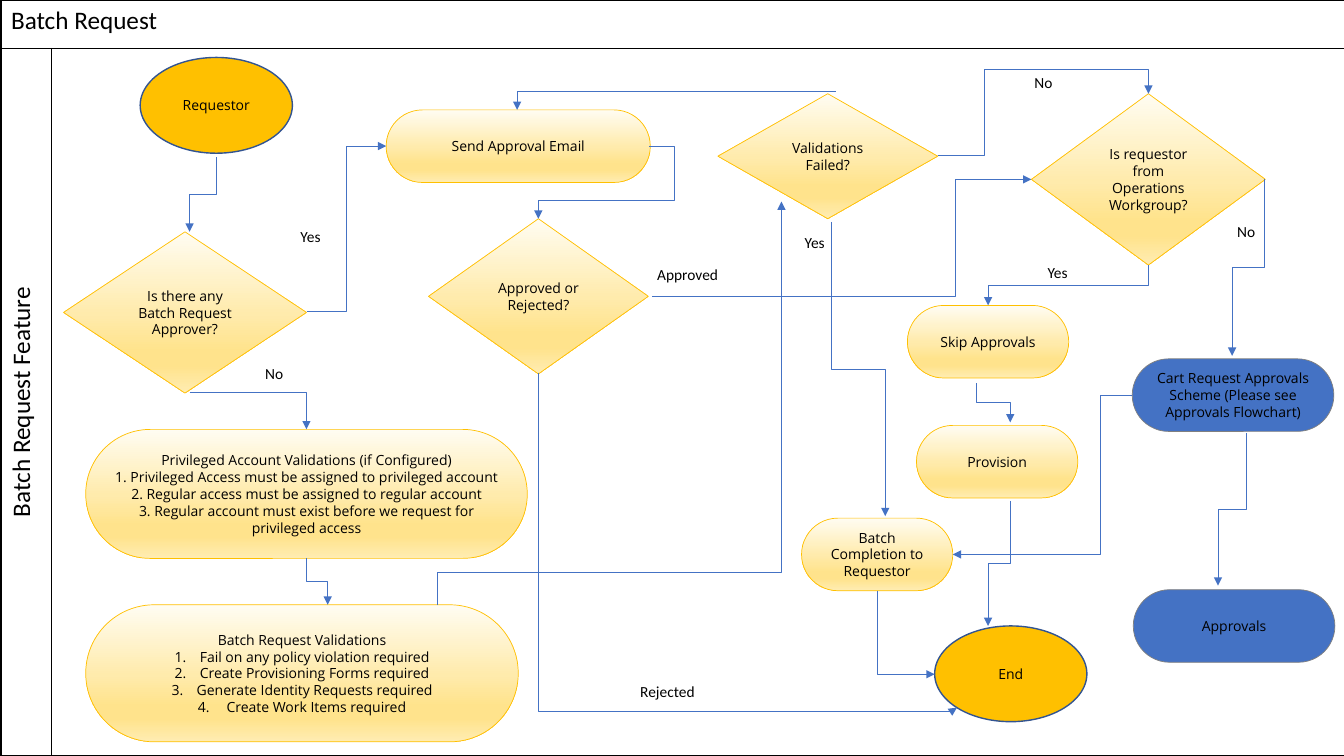
import pptx
import pptx.util
import pptx.dml.color
import pptx.enum.shapes
import pptx.enum.text
import pptx.oxml.ns
import lxml.etree

SHAPE = pptx.enum.shapes.MSO_SHAPE
CENTER = pptx.enum.text.PP_ALIGN.CENTER
MIDDLE = pptx.enum.text.MSO_ANCHOR.MIDDLE
qn = pptx.oxml.ns.qn

COLORS = {"black": "000000", "gold": "FFC000", "navy": "325491",
          "blue": "4472C4", "gray": "808080"}
GRADIENT = [(0, "FFFCF2"), (51, "FFEBAC"), (74, "FFE38C"), (83, "FFE38C"), (100, "FFECB2")]
COLS, ROWS = 13.33, 7.5        # one grid cell is a square inch
SIDE, HEAD = 0.5, 0.48         # lane column and title row
STEP_H = 0.72
HALF = (0.5,)                  # elbow that turns halfway

# kind: preset, fill (None is the gradient), line colour, line width
KINDS = {
    "terminal": (SHAPE.OVAL, "gold", "navy", 1),
    "decision": (SHAPE.DIAMOND, None, "gold", 0.5),
    "step": (SHAPE.ROUNDED_RECTANGLE, None, "gold", 0.5),
    "subflow": (SHAPE.ROUNDED_RECTANGLE, "blue", "gray", 0.5),
}

# kind, column, row, width, height, paragraphs
NODES = [
    ("terminal", 1.39, 0.57, 1.51, 0.95, ["Requestor"]),
    ("decision", 0.63, 2.3, 2.41, 1.6, ["Is there any Batch Request Approver?"]),
    ("step", 3.83, 1.09, 2.62, STEP_H, ["Send Approval Email"]),
    ("decision", 10.23, 0.93, 2.32, 1.7, ["Is requestor from Operations Workgroup?"]),
    ("step", 0.85, 4.26, 4.38, 1.28, [
        "Privileged Account Validations (if Configured)",
        "1. Privileged Access must be assigned to privileged account",
        "2. Regular access must be assigned to regular account",
        "3. Regular account must exist before we request for privileged access"]),
    ("step", 9, 3.03, 1.6, STEP_H, ["Skip Approvals"]),
    ("subflow", 11.23, 3.56, 2, STEP_H,
     ["Cart Request Approvals Scheme (Please see Approvals Flowchart)"]),
    ("terminal", 9.27, 6.21, 1.51, 0.95, ["End"]),
    ("step", 7.95, 5.14, 1.5, STEP_H, ["Batch Completion to Requestor"]),
    ("decision", 7.12, 0.93, 2.18, 1.24, ["Validations Failed?"]),
    ("step", 9.09, 4.22, 1.6, STEP_H, ["Provision"]),
    ("decision", 4.25, 2.17, 2.18, 1.54, ["Approved or Rejected?"]),
    ("subflow", 11.24, 5.85, 2, STEP_H, ["Approvals"]),
]
VALIDATIONS = ("step", 0.85, 6, 4.29, 1.36, [
    "Batch Request Validations", "Fail on any policy violation required",
    "Create Provisioning Forms required", "Generate Identity Requests required",
    " Create Work Items required"])

# start, end, whether it leaves vertically, share of the way at each turn
ARROWS = [
    ((2.15, 1.56), (1.88, 2.3), True, HALF),
    ((3.04, 3.09), (3.83, 1.45), False, HALF),
    ((8.25, 2.2), (8.78, 5.12), True, HALF),
    ((9.3, 1.54), (11.39, 0.93), False, (0.22, 1.4)),
    ((11.39, 2.63), (9.8, 3.03), True, HALF),
    ((12.54, 1.78), (12.22, 3.53), True, HALF),
    ((8.7, 5.86), (9.27, 6.69), True, ()),
    ((11.23, 3.92), (9.45, 5.5), False, (0.18,)),
    ((9.68, 3.8), (10.02, 4.19), True, HALF),
    ((10.02, 4.97), (9.8, 6.21), True, HALF),
    ((1.88, 3.89), (3.04, 4.26), False, ()),
    ((3.04, 5.54), (3.25, 6), True, HALF),
    ((6.44, 1.45), (5.34, 2.17), False, (-0.23, 0.75)),
    ((5.34, 3.7), (9.49, 7.02), True, (1.01,)),
    ((4.34, 6), (7.75, 2), True, (0.08,)),
    ((8.29, 0.91), (5.13, 1.09), False, ()),
    ((6.47, 2.94), (10.23, 1.78), False, (0.8,)),
    ((12.36, 4.3), (12.08, 5.81), True, HALF),
]
LABELS = [
    ("Yes", 7.57, 2.26), ("Yes", 2.57, 2.2), ("Yes", 9.98, 2.56),
    ("No", 11.85, 2.16), ("No", 2.21, 3.56), ("No", 9.84, 0.68),
    ("Rejected", 6.11, 6.72), ("Approved", 6.31, 2.58),
]


def grid(*cells):
    """Turn grid cells into lengths."""
    return [pptx.util.Inches(c) for c in cells]


def rgb(name):
    """Look up a colour."""
    return pptx.dml.color.RGBColor.from_string(COLORS[name])


def add_xml(parent, tag, **attrs):
    """Append a DrawingML element."""
    return lxml.etree.SubElement(parent, qn("a:" + tag), attrs)


def format_text(tf, size, font, align=None):
    """Format every paragraph of a text frame."""
    for p in tf.paragraphs:
        p.alignment = align
        for r in p.runs:
            r.font.size, r.font.name = pptx.util.Pt(size), font
            r.font.color.rgb = rgb("black")


def fill_gradient(sp):
    """Give a shape the pale gold gradient, top to bottom."""
    sp.fill.gradient()
    sp.fill.gradient_angle = 270
    stops = sp._element.spPr.find(".//" + qn("a:gsLst"))
    for old in list(stops):
        stops.remove(old)
    for share, color in GRADIENT:
        add_xml(add_xml(stops, "gs", pos=str(share * 1000)), "srgbClr", val=color)


def add_node(s, kind, x, y, w, h, lines):
    """Add a flowchart node and return it."""
    preset, fill, line, width = KINDS[kind]
    sp = s.shapes.add_shape(preset, *grid(x, y, w, h))
    sp.shadow.inherit = False
    if preset == SHAPE.ROUNDED_RECTANGLE:
        sp.adjustments[0] = 0.5
    if fill:
        sp.fill.solid()
        sp.fill.fore_color.rgb = rgb(fill)
    else:
        fill_gradient(sp)
    sp.line.color.rgb, sp.line.width = rgb(line), pptx.util.Pt(width)
    tf = sp.text_frame
    tf.text, tf.word_wrap, tf.vertical_anchor = "\n".join(lines), True, MIDDLE
    format_text(tf, 10, "Open Sans", CENTER)
    return sp


def number_items(sp):
    """Number the paragraphs below the heading of a node."""
    indent = pptx.util.Inches(0.25)
    for p in sp.text_frame.paragraphs[1:]:
        pPr = p._p.get_or_add_pPr()
        pPr.set("marL", str(indent))
        pPr.set("indent", str(-indent))
        add_xml(pPr, "buAutoNum", type="arabicPeriod")


def add_arrow(s, start, end, vertical, turns):
    """Add an elbow arrow; one that leaves vertically is a turned box."""
    (x1, y1), (x2, y2) = start, end
    u, v, angle = x2 - x1, y2 - y1, 0
    if vertical:
        u, v, angle = (-v, u, 270) if u > 0 and v > 0 else (v, -u, 90)
    mx, my = (x1 + x2) / 2, (y1 + y2) / 2
    cxn = s.shapes.add_connector(
        pptx.enum.shapes.MSO_CONNECTOR.ELBOW,
        *grid(mx - u / 2, my - v / 2, mx + u / 2, my + v / 2))
    cxn.line.color.rgb, cxn.line.width = rgb("blue"), pptx.util.Pt(0.5)
    add_xml(cxn.line._get_or_add_ln(), "tailEnd", type="triangle")
    spPr = cxn._element.spPr
    add_xml(spPr, "effectLst")
    if angle:
        spPr.find(qn("a:xfrm")).set("rot", str(angle * 60000))
    geom = spPr.find(qn("a:prstGeom"))
    geom.set("prst", f"bentConnector{len(turns) + 2}")
    for i, share in enumerate(turns, 1):
        add_xml(geom.find(qn("a:avLst")), "gd", name=f"adj{i}",
                fmla=f"val {round(share * 100000)}")


def add_label(s, text, x, y):
    """Add the caption of a branch."""
    tf = s.shapes.add_textbox(*grid(x, y, 1.02, 0.28)).text_frame
    tf.text, tf.word_wrap, tf.vertical_anchor = text, True, MIDDLE
    format_text(tf, 11, "Calibri", CENTER)


def format_cell(cell):
    """Give a table cell black borders and no fill."""
    tcPr = cell._tc.get_or_add_tcPr()
    for side in "LRTB":
        ln = add_xml(tcPr, "ln" + side, w=str(pptx.util.Pt(1)))
        add_xml(add_xml(ln, "solidFill"), "srgbClr", val=COLORS["black"])
    cell.fill.background()


def add_frame(s):
    """Add the swimlane table with its title and lane name."""
    table = s.shapes.add_table(2, 2, *grid(0.01, 0, COLS, ROWS)).table
    table.first_row = table.horz_banding = False
    for col, width in zip(table.columns, grid(SIDE, COLS - SIDE)):
        col.width = width
    for row, height in zip(table.rows, grid(HEAD, ROWS - HEAD)):
        row.height = height
    for cell in table.iter_cells():
        format_cell(cell)
    title, lane = table.cell(0, 0), table.cell(1, 0)
    title.merge(table.cell(0, 1))
    title.text, lane.text = "Batch Request", "Batch Request Feature"
    format_text(title.text_frame, 18, "Calibri")
    format_text(lane.text_frame, 18, "Calibri", CENTER)
    lane._tc.tcPr.set("vert", "vert270")


def main():
    """Build the flowchart slide."""
    prs = pptx.Presentation()
    prs.slide_width, prs.slide_height = grid(COLS, ROWS)
    s = prs.slides.add_slide(prs.slide_layouts[6])
    add_frame(s)
    for node in NODES:
        add_node(s, *node)
    number_items(add_node(s, *VALIDATIONS))
    for arrow in ARROWS:
        add_arrow(s, *arrow)
    for label in LABELS:
        add_label(s, *label)
    prs.save("out.pptx")


main()
